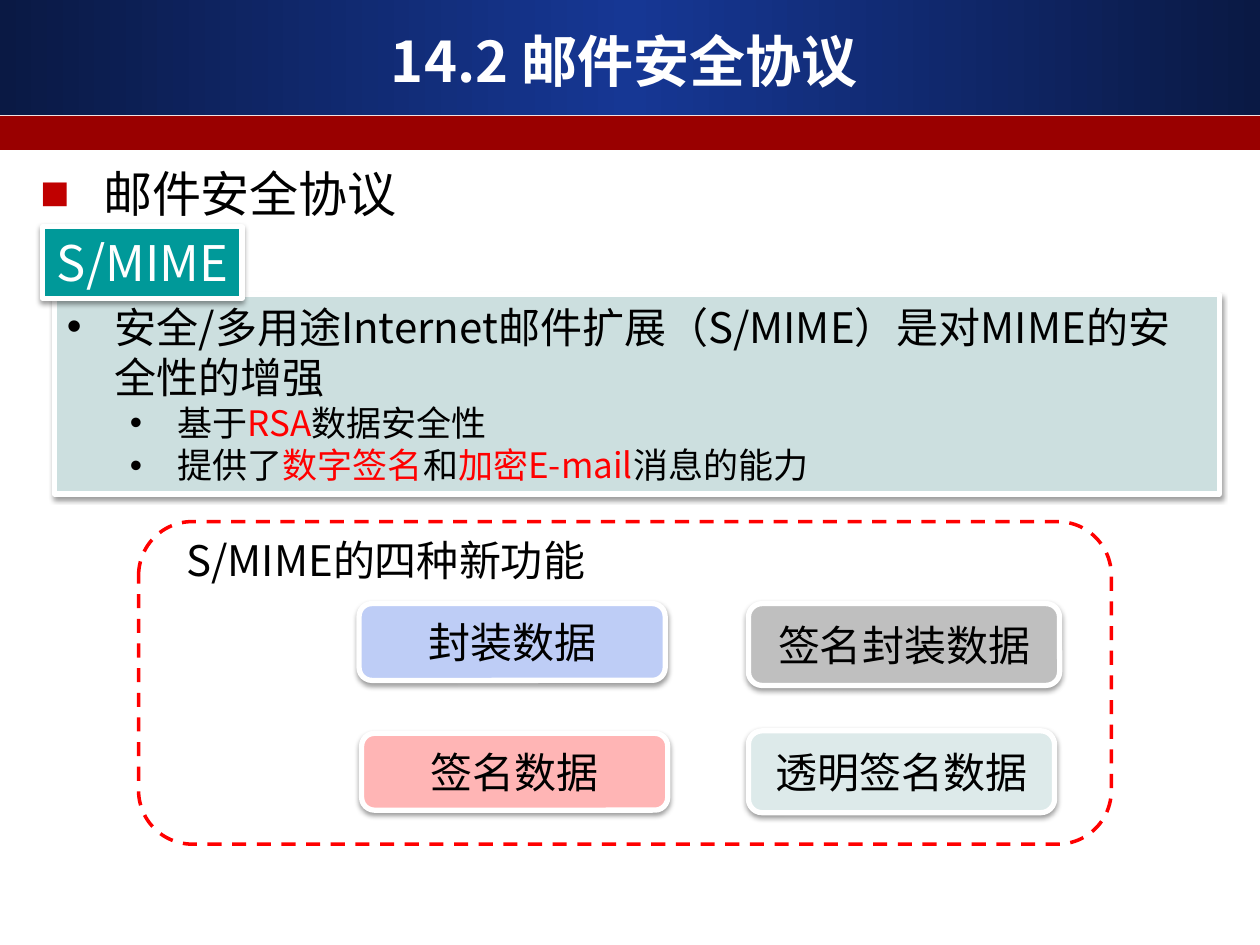
from copy import deepcopy

from lxml.etree import SubElement
from pptx import Presentation
from pptx.dml.color import RGBColor
from pptx.enum.dml import MSO_LINE
from pptx.enum.shapes import MSO_SHAPE
from pptx.enum.text import MSO_ANCHOR, MSO_AUTO_SIZE, PP_ALIGN
from pptx.oxml.ns import qn
from pptx.util import Inches, Pt

FONT = "Noto Sans CJK SC"
COLORS = {name: RGBColor.from_string(value) for name, value in {
    "navy": "0A1944", "blue": "163794", "crimson": "990000", "white": "FFFFFF",
    "black": "000000", "red": "FF0000", "bullet": "C00000", "teal": "009999",
    "mist": "CCDFDF", "periwinkle": "BECDF6", "gray": "BFBFBF", "pink": "FFB5B5",
    "pale": "DDEAEA"}.items()}


def write(paragraph, parts, size, color="black", bold=False, align=PP_ALIGN.LEFT,
          bullet=None, bullet_color="black", indents=(0, 0)):
    """Fill a paragraph with (text, color) parts; a plain string takes the given color."""
    if isinstance(parts, str):
        parts = [(parts, color)]
    props = paragraph._p.get_or_add_pPr()
    props.set("marL", str(Inches(indents[0])))
    props.set("indent", str(Inches(indents[1])))
    if bullet:
        SubElement(SubElement(props, qn("a:buClr")), qn("a:srgbClr"),
                   val=str(COLORS[bullet_color]))
        SubElement(props, qn("a:buFont"), typeface="Arial")
        SubElement(props, qn("a:buChar"), char=bullet)
    paragraph.alignment = align
    paragraph.space_before = Pt(0)
    paragraph.line_spacing = Pt(round(size * 1.2, 1))
    for text, part_color in parts:
        run = paragraph.add_run()
        run.text = text
        run.font.size = Pt(size)
        run.font.bold = bold
        run.font.name = FONT
        run.font.color.rgb = COLORS[part_color]
        SubElement(run.font._element, qn("a:ea"), typeface=FONT)


def style(shape, fill, line_width=3, shadow=True, anchor=MSO_ANCHOR.TOP):
    """Give a shape a solid fill, a white outline and an optional soft shadow."""
    shape.fill.solid()
    shape.fill.fore_color.rgb = COLORS[fill]
    shape.line.color.rgb = COLORS["white"]
    shape.line.width = Pt(line_width)
    shape.shadow.inherit = False
    if shadow:
        effects = shape._element.spPr.find(qn("a:effectLst"))
        outer = SubElement(effects, qn("a:outerShdw"), blurRad=str(Pt(3.1)),
                           dist=str(Pt(1.6)), dir="5400000", rotWithShape="0")
        tint = SubElement(outer, qn("a:srgbClr"), val="000000")
        SubElement(tint, qn("a:alpha"), val="38000")
    shape.text_frame.word_wrap = True
    shape.text_frame.vertical_anchor = anchor


prs = Presentation()
prs.slide_width, prs.slide_height = Inches(10), Inches(7.5)
slide = prs.slides.add_slide(prs.slide_layouts[1])
shapes = slide.shapes
title, definition = slide.placeholders

# Header bands, placed behind the title
header = shapes.add_shape(MSO_SHAPE.RECTANGLE, 0, 0, Inches(10), Inches(0.91))
header.fill.gradient()
header.fill.gradient_angle = 0
stop_list = header._element.spPr.find(".//" + qn("a:gsLst"))
stop_list.append(deepcopy(stop_list[0]))
for stop, position, color in zip(header.fill.gradient_stops, (0, 0.5, 1),
                                 ("navy", "blue", "navy")):
    stop.position = position
    stop.color.rgb = COLORS[color]
stripe = shapes.add_shape(MSO_SHAPE.RECTANGLE, 0, Inches(0.92), Inches(10), Inches(0.27))
stripe.fill.solid()
stripe.fill.fore_color.rgb = COLORS["crimson"]
for index, band in enumerate((header, stripe)):
    band.line.fill.background()
    band.shadow.inherit = False
    shapes._spTree.insert(2 + index, band._element)

title.left, title.top, title.width, title.height = map(Inches, (0.33, 0.17, 9.25, 0.62))
title.text_frame.auto_size = MSO_AUTO_SIZE.NONE
title.text_frame.vertical_anchor = MSO_ANCHOR.MIDDLE
write(title.text_frame.paragraphs[0], "14.2 邮件安全协议", 32, "white", True, PP_ALIGN.CENTER)

# Definition of S/MIME
definition.left, definition.top, definition.width, definition.height = map(
    Inches, (0.43, 2.34, 9.25, 1.58))
style(definition, "mist")
definition.text_frame.auto_size = MSO_AUTO_SIZE.NONE
points = [
    (0, 24, "安全/多用途Internet邮件扩展（S/MIME）是对MIME的安全性的增强"),
    (1, 20, [("基于", "black"), ("RSA", "red"), ("数据安全性", "black")]),
    (1, 20, [("提供了", "black"), ("数字签名", "red"), ("和", "black"),
             ("加密E-mail", "red"), ("消息的能力", "black")]),
]
for index, (level, size, parts) in enumerate(points):
    frame = definition.text_frame
    paragraph = frame.add_paragraph() if index else frame.paragraphs[0]
    paragraph.level = level
    write(paragraph, parts, size, bullet="•", indents=(0.38 + 0.5 * level, -0.38))

heading = shapes.add_shape(MSO_SHAPE.RECTANGLE, Inches(0.22), Inches(1.25),
                           Inches(9.02), Inches(0.57))
style(heading, "white", line_width=2, shadow=False)
write(heading.text_frame.paragraphs[0], "邮件安全协议", 28, bullet="■",
      bullet_color="bullet", indents=(0.5, -0.5))

tag = shapes.add_shape(MSO_SHAPE.RECTANGLE, Inches(0.34), Inches(1.8),
                       Inches(1.58), Inches(0.57))
style(tag, "teal")
write(tag.text_frame.paragraphs[0], "S/MIME", 28, "white", align=PP_ALIGN.CENTER)

# Four new functions
functions = [
    ("封装数据", "periwinkle", 2.85, 4.79, 2.43, 0.61),
    ("签名封装数据", "gray", 5.94, 4.79, 2.47, 0.65),
    ("签名数据", "pink", 2.87, 5.82, 2.43, 0.61),
    ("透明签名数据", "pale", 5.94, 5.8, 2.43, 0.65),
]
for label, fill, *box in functions:
    card = shapes.add_shape(MSO_SHAPE.ROUNDED_RECTANGLE, *map(Inches, box))
    style(card, fill, anchor=MSO_ANCHOR.MIDDLE)
    write(card.text_frame.paragraphs[0], label, 24, align=PP_ALIGN.CENTER)

frame_outline = shapes.add_shape(MSO_SHAPE.ROUNDED_RECTANGLE, Inches(1.1), Inches(4.14),
                                 Inches(7.72), Inches(2.56))
frame_outline.fill.background()
frame_outline.line.color.rgb = COLORS["red"]
frame_outline.line.width = Pt(2)
frame_outline.line.dash_style = MSO_LINE.DASH
frame_outline.shadow.inherit = False

caption = shapes.add_textbox(Inches(1.38), Inches(4.19), Inches(4.41), Inches(0.5))
caption.text_frame.word_wrap = True
write(caption.text_frame.paragraphs[0], "S/MIME的四种新功能", 24)

prs.save("out.pptx")
